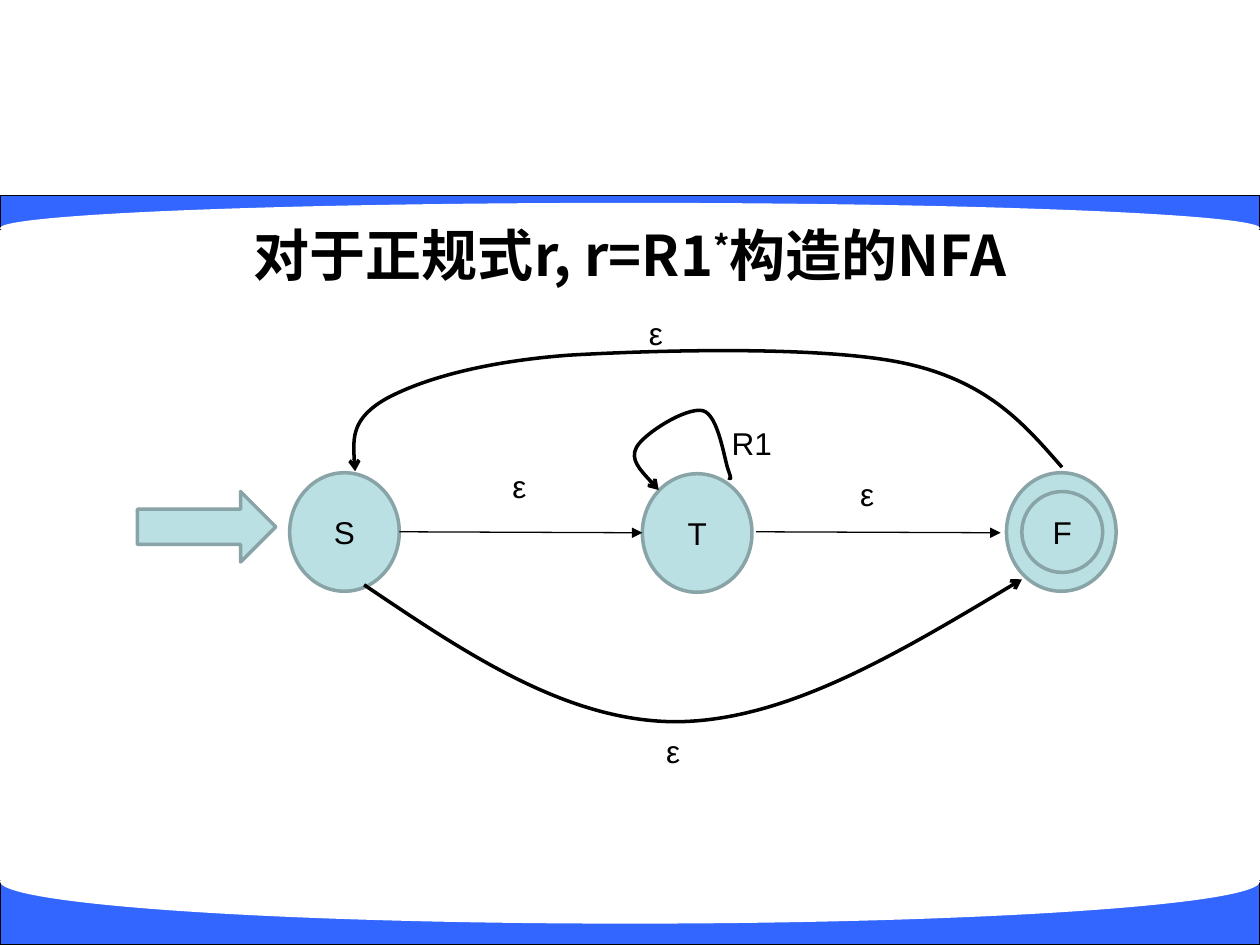
"""Build a slide showing the NFA for the regular expression r = R1*."""
from typing import NamedTuple

from lxml import etree
from pptx import Presentation
from pptx.dml.color import RGBColor
from pptx.enum.shapes import MSO_CONNECTOR, MSO_SHAPE
from pptx.enum.text import MSO_ANCHOR, MSO_AUTO_SIZE, PP_ALIGN
from pptx.oxml.ns import qn
from pptx.util import Cm, Pt

RECTANGLE, OVAL, RIGHT_ARROW = MSO_SHAPE.RECTANGLE, MSO_SHAPE.OVAL, MSO_SHAPE.RIGHT_ARROW
STRAIGHT = MSO_CONNECTOR.STRAIGHT
CENTER, MIDDLE, BOTTOM = PP_ALIGN.CENTER, MSO_ANCHOR.MIDDLE, MSO_ANCHOR.BOTTOM
FIT_SHAPE = MSO_AUTO_SIZE.SHAPE_TO_FIT_TEXT

BLACK = RGBColor(0x00, 0x00, 0x00)
WHITE = RGBColor(0xFF, 0xFF, 0xFF)
BLUE = RGBColor(0x33, 0x66, 0xFF)
AQUA = RGBColor(0xBB, 0xE0, 0xE3)
TEAL = RGBColor(0x89, 0xA4, 0xA7)
TITLE_FONT = "Noto Sans CJK SC"
LABEL_FONT = "Arial"
SLIDE_WIDTH = 25.4


class Box(NamedTuple):
    left: float
    top: float
    width: float
    height: float

    def emu(self) -> list[int]:
        return [Cm(length) for length in self]


class Node(NamedTuple):
    box: Box
    name: str = ""


class Label(NamedTuple):
    left: float
    top: float
    text: str
    width: float = 0.79


class Curve(NamedTuple):
    start: tuple[float, float]
    controls: list[tuple[float, float]]


BANDS = [
    (Box(0, 3.94, SLIDE_WIDTH, 0.69), Box(0, 4.09, SLIDE_WIDTH, 1.02)),
    (Box(0, 17.75, SLIDE_WIDTH, 1.3), Box(0, 16.92, SLIDE_WIDTH, 1.7)),
]
TITLE_BOX = Box(1.9, 3.18, 21.6, 2.74)
TITLE_RUNS = [("对于正规式r, r=R1", 0), ("*", 30000), ("构造的NFA", 0)]
ENTRY_ARROW = Box(2.77, 9.91, 2.79, 1.42)
NODES = [
    Node(Box(5.84, 9.53, 2.21, 2.39), "S"),
    Node(Box(12.95, 9.55, 2.21, 2.39), "T"),
    Node(Box(20.29, 9.53, 2.21, 2.39)),
    Node(Box(20.6, 9.91, 1.63, 1.63), "F"),
]
LABELS = [
    Label(14.5, 8.43, "R1", 1.32),
    Label(17.09, 9.45, "ε"),
    Label(10.08, 9.3, "ε"),
    Label(13.18, 14.63, "ε"),
    Label(12.83, 6.2, "ε"),
]
STRAIGHT_EDGES = [(8.05, 10.72, 12.95, 10.74), (15.24, 10.72, 20.17, 10.74)]
SKIP_EDGE = Curve((7.34, 11.79), [
    (9.4, 13.18), (11.43, 14.55), (13.64, 14.55),
    (15.85, 14.53), (18.21, 13.11), (20.6, 11.68),
])
LOOP_EDGE = Curve((14.68, 9.63), [
    (14.73, 9.65), (14.76, 9.7), (14.68, 9.47),
    (14.6, 9.25), (14.48, 8.36), (14.17, 8.28),
    (13.84, 8.2), (12.98, 8.74), (12.83, 9.02),
    (12.7, 9.27), (13.0, 9.58), (13.28, 9.88),
])
REPEAT_EDGE = Curve((21.41, 9.42), [
    (20.68, 8.59), (19.96, 7.72), (18.31, 7.34),
    (16.66, 6.96), (13.23, 7.06), (11.48, 7.16),
    (9.73, 7.29), (8.51, 7.65), (7.8, 8.03),
    (7.09, 8.43), (7.11, 8.97), (7.16, 9.5),
])


def add_filled(slide, preset, box: Box, fill: RGBColor, outline: RGBColor | None, weight: float = 2):
    shape = slide.shapes.add_shape(preset, *box.emu())
    shape.shadow.inherit = False
    shape.fill.solid()
    shape.fill.fore_color.rgb = fill
    if outline is None:
        shape.line.fill.background()
    else:
        shape.line.color.rgb = outline
        shape.line.width = Pt(weight)
    return shape


def style_paragraph(paragraph, size: float, font_name: str) -> None:
    paragraph.font.size = Pt(size)
    paragraph.font.name = font_name
    paragraph.font.color.rgb = BLACK


def style_edge(edge, weight: float, arrowhead: str) -> None:
    edge.line.color.rgb = BLACK
    edge.line.width = Pt(weight)
    etree.SubElement(edge.line._get_or_add_ln(), qn("a:tailEnd"), type=arrowhead)


def add_title(slide) -> None:
    frame = slide.shapes.add_textbox(*TITLE_BOX.emu()).text_frame
    frame.word_wrap = True
    frame.vertical_anchor = BOTTOM
    paragraph = frame.paragraphs[0]
    paragraph.alignment = CENTER
    style_paragraph(paragraph, 32, TITLE_FONT)
    paragraph.font.bold = True
    for text, baseline in TITLE_RUNS:
        run = paragraph.add_run()
        run.text = text
        properties = run._r.get_or_add_rPr()
        etree.SubElement(properties, qn("a:ea"), typeface=TITLE_FONT)
        if baseline:
            properties.set("baseline", str(baseline))


def add_node(slide, node: Node) -> None:
    state = add_filled(slide, OVAL, node.box, AQUA, TEAL)
    if node.name:
        state.text_frame.vertical_anchor = MIDDLE
        paragraph = state.text_frame.paragraphs[0]
        paragraph.text = node.name
        paragraph.alignment = CENTER
        style_paragraph(paragraph, 18, LABEL_FONT)


def add_label(slide, label: Label) -> None:
    box = Box(label.left, label.top, label.width, 1.02)
    frame = slide.shapes.add_textbox(*box.emu()).text_frame
    frame.word_wrap = False
    frame.auto_size = FIT_SHAPE
    frame.paragraphs[0].text = label.text
    style_paragraph(frame.paragraphs[0], 18, LABEL_FONT)


def add_straight_edge(slide, ends: tuple[float, float, float, float]) -> None:
    edge = slide.shapes.add_connector(STRAIGHT, *(Cm(end) for end in ends))
    style_edge(edge, 0.75, "triangle")
    etree.SubElement(edge._element.spPr, qn("a:effectLst"))


def add_curved_edge(slide, curve: Curve) -> None:
    builder = slide.shapes.build_freeform(*(Cm(length) for length in curve.start))
    builder.add_line_segments([(Cm(x), Cm(y)) for x, y in curve.controls], close=False)
    edge = builder.convert_to_shape()
    segments = list(edge._element.iter(qn("a:lnTo")))
    for first, second, third in zip(segments[::3], segments[1::3], segments[2::3]):
        first.tag = qn("a:cubicBezTo")
        for segment in (second, third):
            first.append(segment[0])
            segment.getparent().remove(segment)
    edge.fill.background()
    edge.shadow.inherit = False
    style_edge(edge, 2, "arrow")


def main() -> None:
    presentation = Presentation()
    presentation.slide_width, presentation.slide_height = Cm(SLIDE_WIDTH), Cm(19.05)
    slide = presentation.slides.add_slide(presentation.slide_layouts[6])
    for band, cutout in BANDS:
        add_filled(slide, RECTANGLE, band, BLUE, BLACK, 0.75)
        add_filled(slide, OVAL, cutout, WHITE, None)
    add_title(slide)
    add_filled(slide, RIGHT_ARROW, ENTRY_ARROW, AQUA, TEAL)
    for node in NODES:
        add_node(slide, node)
    for ends in STRAIGHT_EDGES:
        add_straight_edge(slide, ends)
    for curve in (SKIP_EDGE, LOOP_EDGE, REPEAT_EDGE):
        add_curved_edge(slide, curve)
    for label in LABELS:
        add_label(slide, label)
    presentation.save("out.pptx")


if __name__ == "__main__":
    main()
